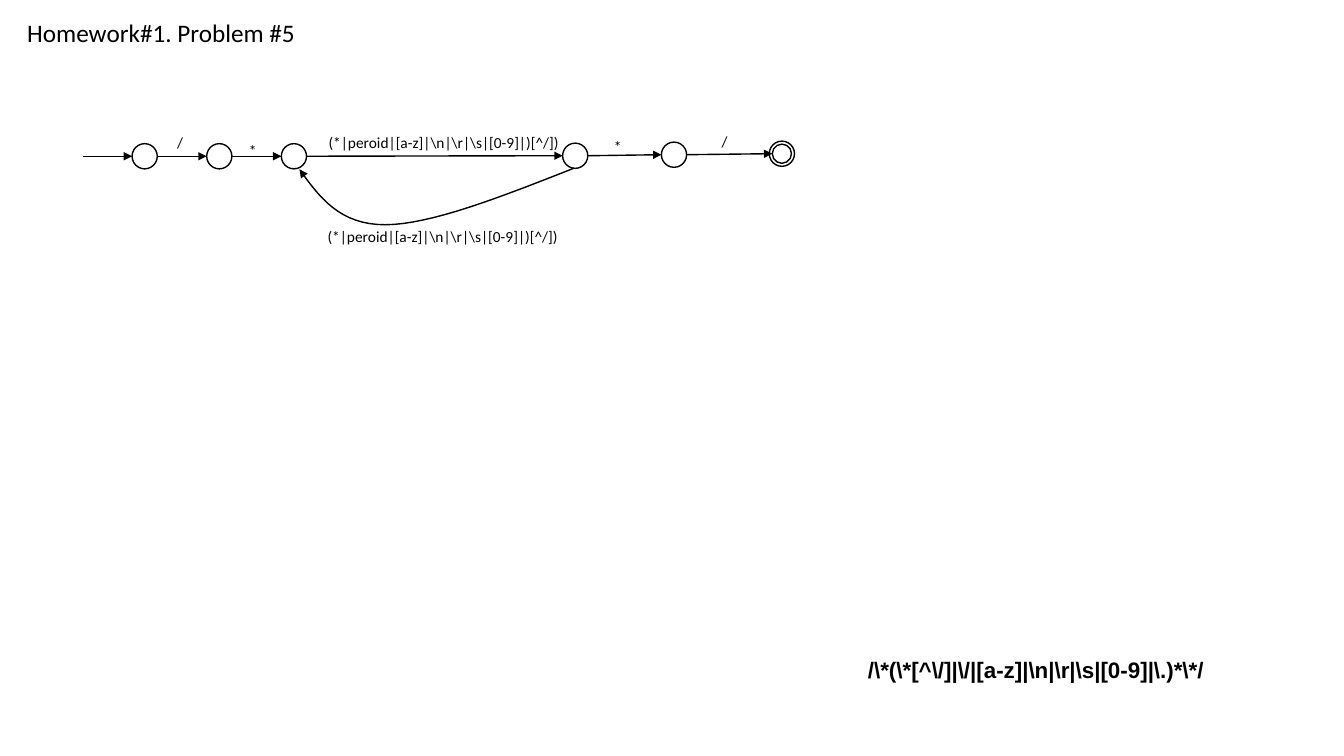
from lxml.etree import SubElement
from pptx import Presentation
from pptx.dml.color import RGBColor
from pptx.enum.shapes import MSO_CONNECTOR, MSO_SHAPE
from pptx.enum.text import MSO_ANCHOR, MSO_AUTO_SIZE, PP_ALIGN
from pptx.oxml.ns import qn
from pptx.util import Inches, Pt

COLORS = {"ink": "000000"}
CELL = 0.25
STATES = [(5.24, 6.2), (8.2, 6.2), (11.16, 6.2), (22.32, 6.18), (26.24, 6.14)]
ACCEPT = (30.52, 6.1)
INSET = 0.12
START_X = 3.28
LOOP = [
    [(22.76, 6.68), (19.92, 7.8), (17.08, 8.92), (15.28, 8.92)],
    [(15.28, 8.92), (13.48, 8.92), (12.68, 7.84), (11.88, 6.72)],
]
LOOP_STEPS = 16
BODY = r"(*|peroid|[a-z]|\n|\r|\s|[0-9]|)[^/])"
FORMULA = r"/\*(\*[^\/]|\/|[a-z]|\n|\r|\s|[0-9]|\.)*\*/"
LABELS = [
    ("/", 6.64, 5.08, 1.04),
    ("*", 9.48, 5.4, 1.12),
    (BODY, 12.64, 5.08, 10.04),
    ("*", 23.96, 5.24, 1.12),
    ("/", 28.24, 5.04, 1.04),
    (BODY, 12.6, 8.8, 10.04),
]


def grid(*cells):
    return [Inches(c * CELL) for c in cells]


def color(name):
    return RGBColor.from_string(COLORS[name])


def style_line(s, arrow=False):
    s.line.color.rgb = color("ink")
    s.line.width = Pt(1)
    if arrow:
        SubElement(s.line._get_or_add_ln(), qn("a:tailEnd"), type="triangle")


def add_state(shapes, x, y, size=1):
    s = shapes.add_shape(MSO_SHAPE.FLOWCHART_CONNECTOR,
                         *grid(x, y - size / 2, size, size))
    s.shadow.inherit = False
    s.fill.background()
    style_line(s)


def add_arrow(shapes, x1, y1, x2, y2):
    s = shapes.add_connector(MSO_CONNECTOR.STRAIGHT, *grid(x1, y1, x2, y2))
    style_line(s, arrow=True)
    SubElement(s._element.spPr, qn("a:effectLst"))


def curve_points(curve):
    (x0, y0), (x1, y1), (x2, y2), (x3, y3) = curve
    for i in range(1, LOOP_STEPS + 1):
        t = i / LOOP_STEPS
        u = 1 - t
        a, b, c, d = u ** 3, 3 * u * u * t, 3 * u * t * t, t ** 3
        yield grid(a * x0 + b * x1 + c * x2 + d * x3,
                   a * y0 + b * y1 + c * y2 + d * y3)


def add_loop(shapes):
    builder = shapes.build_freeform(*grid(*LOOP[0][0]))
    points = [point for curve in LOOP for point in curve_points(curve)]
    builder.add_line_segments(points, close=False)
    s = builder.convert_to_shape()
    s.shadow.inherit = False
    s.fill.background()
    style_line(s, arrow=True)


def set_text(s, text, size, font="Calibri", bold=False, wrap=False):
    tf = s.text_frame
    tf.text = text
    tf.word_wrap = wrap
    tf.auto_size = MSO_AUTO_SIZE.SHAPE_TO_FIT_TEXT
    tf.vertical_anchor = MSO_ANCHOR.TOP
    p = tf.paragraphs[0]
    p.alignment = PP_ALIGN.LEFT
    p.font.size = Pt(size)
    p.font.name = font
    p.font.bold = bold
    p.font.color.rgb = color("ink")
    return p


def add_title(slide):
    s = slide.shapes.title
    s.left, s.top, s.width, s.height = grid(0.68, 0.48, 11.56, 1.6)
    set_text(s, "Homework#1. Problem #5", 18)


def add_formula(shapes):
    s = shapes.add_textbox(*grid(30.04, 25.76, 26.44, 1.56))
    p = set_text(s, FORMULA, 16, "Arial", bold=True, wrap=True)
    p.level = 2
    p.line_spacing = 1.07
    pPr = p._p.get_or_add_pPr()
    pPr.set("marL", str(Inches(1)))
    pPr.set("indent", "0")


def add_automaton(shapes):
    accept = shapes.add_group_shape().shapes
    add_state(accept, *ACCEPT)
    add_state(accept, ACCEPT[0] + INSET, ACCEPT[1], 1 - 2 * INSET)

    tail = (START_X, STATES[0][1])
    for x, y in STATES:
        add_state(shapes, x, y)
        add_arrow(shapes, *tail, x, y)
        tail = (x + 1, y)
    add_arrow(shapes, *tail, ACCEPT[0] + INSET, ACCEPT[1])
    add_loop(shapes)

    for text, x, y, width in LABELS:
        set_text(shapes.add_textbox(*grid(x, y, width, 1.16)), text, 11)


def main():
    prs = Presentation()
    prs.slide_width, prs.slide_height = Inches(13.33), Inches(7.5)
    slide = prs.slides.add_slide(prs.slide_layouts[5])
    add_title(slide)
    add_formula(slide.shapes)
    add_automaton(slide.shapes)
    prs.save("out.pptx")


if __name__ == "__main__":
    main()
